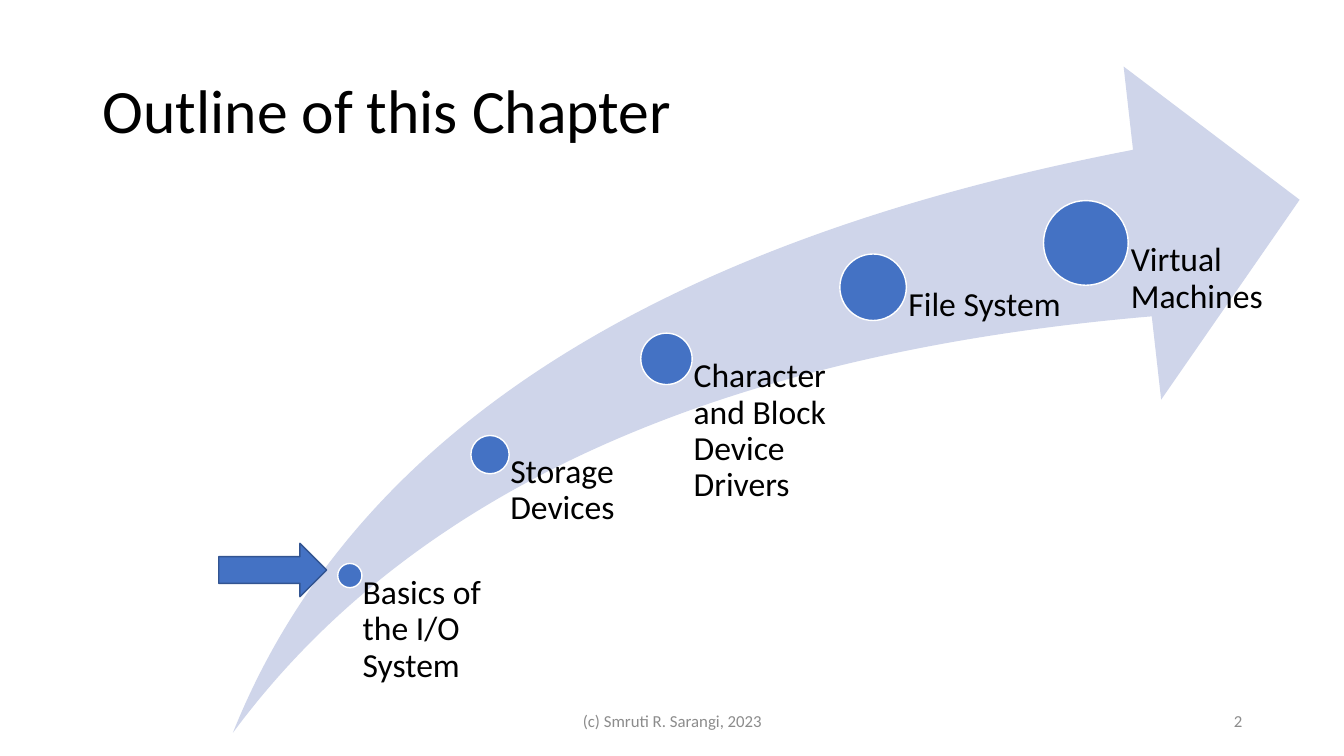
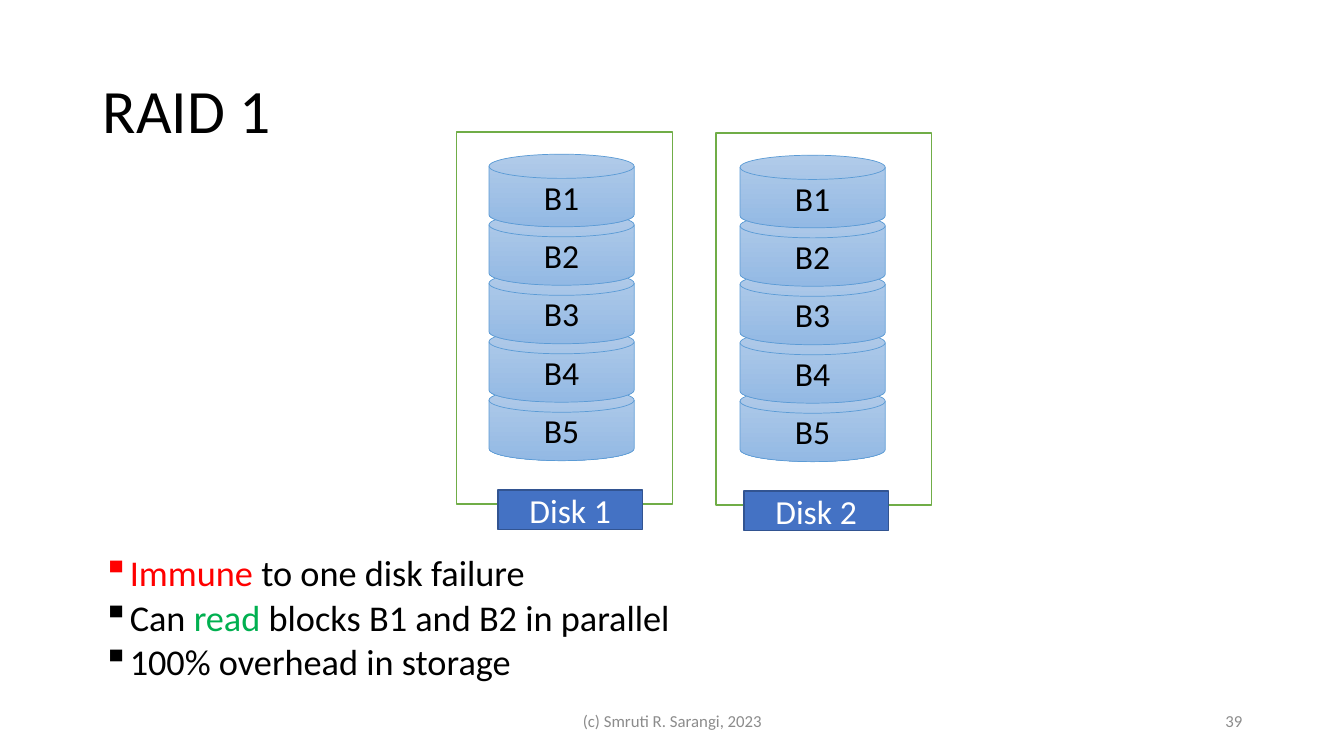
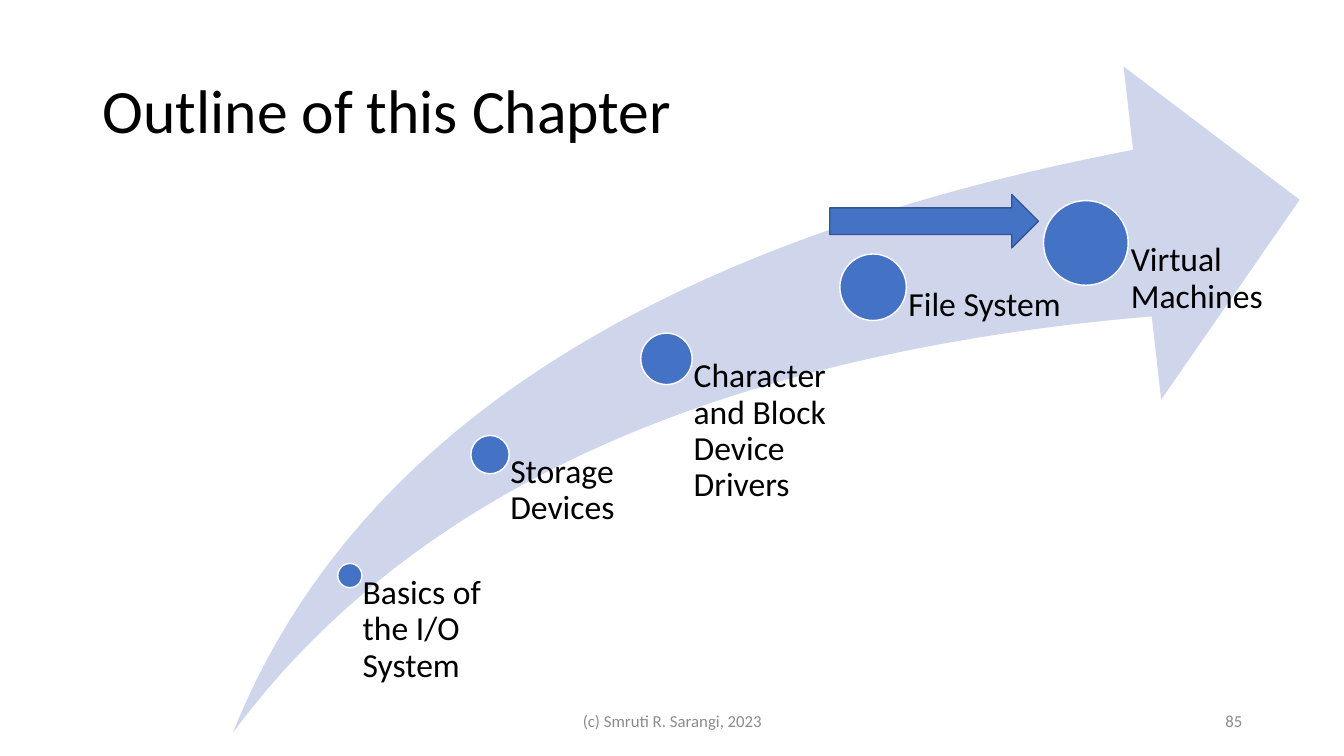
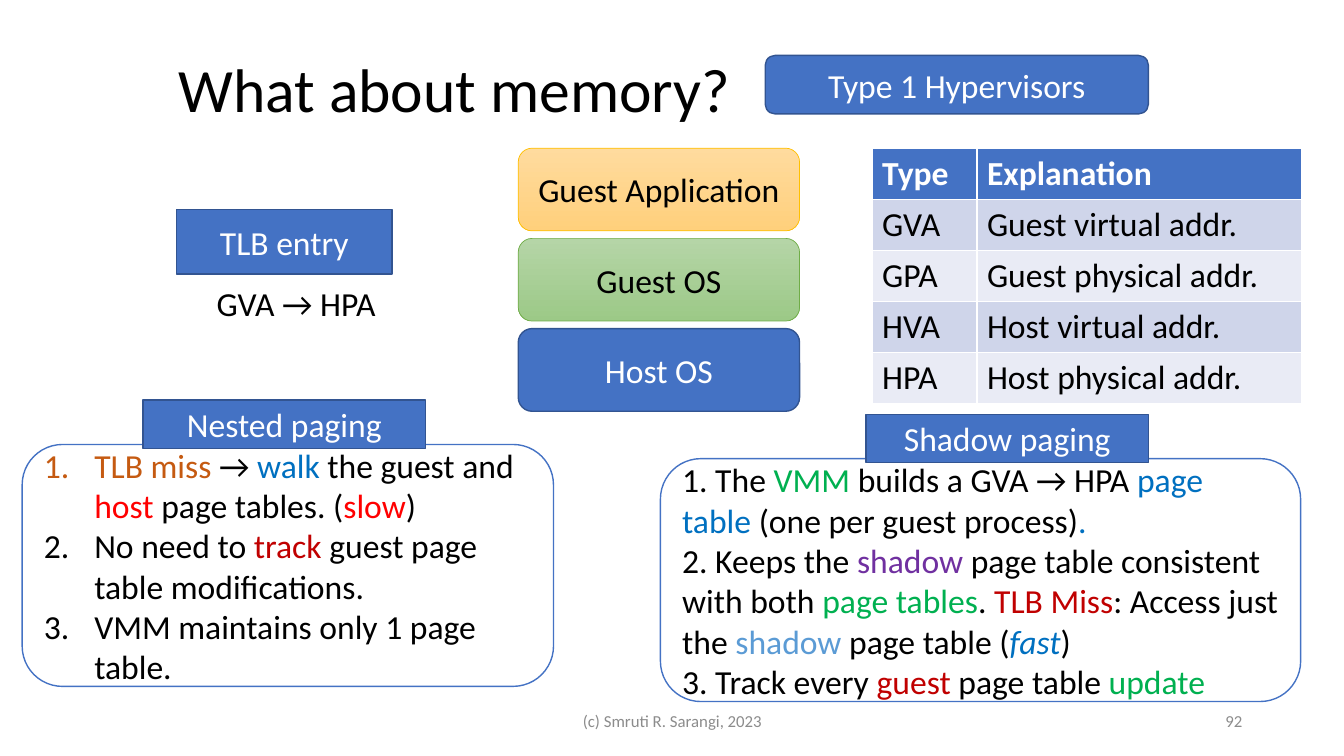
from pptx import Presentation
from pptx.dml.color import RGBColor
from pptx.enum.shapes import MSO_SHAPE
from pptx.enum.text import MSO_ANCHOR, PP_ALIGN
from pptx.oxml.ns import qn
from pptx.util import Inches, Pt
from lxml import etree

LEFT, MID, RIGHT = PP_ALIGN.LEFT, PP_ALIGN.CENTER, PP_ALIGN.RIGHT
TOP, CENTER = MSO_ANCHOR.TOP, MSO_ANCHOR.MIDDLE
OVAL, SWOOSH = MSO_SHAPE.OVAL, MSO_SHAPE.SWOOSH_ARROW
ARROW, RECT = MSO_SHAPE.RIGHT_ARROW, MSO_SHAPE.RECTANGLE
ROUND, DISK = MSO_SHAPE.ROUNDED_RECTANGLE, MSO_SHAPE.FLOWCHART_MAGNETIC_DISK
PROCESS = MSO_SHAPE.FLOWCHART_PROCESS

FONT = "Calibri"
BLACK, WHITE, GRAY = "000000", "FFFFFF", "8C8C8C"
BLUE, NAVY, PALE, MIST = "4472C4", "325491", "CFD5EA", "E9EBF5"
RED, CRIMSON, GREEN = "FF0000", "C00000", "00B050"
AZURE, SKY, PURPLE, RUST = "0070C0", "5B9BD5", "7030A0", "C55A11"
LEAF, GOLD = "70AD47", "FFC000"
SKY_FADE = ("B1CBE9", "93B9E4")
LEAF_FADE = ("B5D5A7", "9CC987")
GOLD_FADE = ("FFDB9E", "FFD07C")

STEPS = [  # centre x, centre y, diameter, label width, label
    (1.16, 5.05, 0.24, 1.39, "Basics of the I/O System"),
    (2.55, 3.85, 0.38, 1.76, "Storage Devices"),
    (4.30, 2.90, 0.51, 2.04, "Character and Block Device Drivers"),
    (6.35, 2.19, 0.66, 2.12, "File System"),
    (8.46, 1.75, 0.84, 2.12, "Virtual Machines"),
]
PERKS = [
    [("Immune ", RED), "to one disk failure"],
    ["Can ", ("read", GREEN), " blocks B1 and B2 in parallel"],
    ["100% overhead in storage"],
]
TERMS = [
    ("Type", "Explanation"),
    ("GVA", "Guest virtual addr."),
    ("GPA", "Guest physical addr."),
    ("HVA", "Host virtual addr."),
    ("HPA", "Host physical addr."),
]
NESTED = [
    [("TLB miss ", RUST), "→ ", ("walk", AZURE), " the guest and ",
     ("host", RED), " page tables. (", ("slow", RED), ")"],
    ["No need to ", ("track", CRIMSON), " guest page table modifications."],
    ["VMM maintains only 1 page table."],
]
SHADOW = [
    ["1. The ", ("VMM", GREEN), " builds a GVA → HPA ", ("page table ", AZURE),
     "(one per guest process)", (".", AZURE)],
    ["2. Keeps the ", ("shadow", PURPLE), " page table consistent with both ",
     ("page tables", GREEN), ". ", ("TLB Miss", CRIMSON), ": Access just the ",
     ("shadow", SKY), " page table (", ("fast", AZURE, True), ")"],
    ["3. Track every ", ("guest", CRIMSON), " page table ", ("update", GREEN)],
]


def rgb(code):
    return RGBColor.from_string(code)


def apply(item, **vals):
    for key, val in vals.items():
        setattr(item, key, val)


def area(box):
    return [Inches(v) for v in box]


def bullet(para, mark, indent):
    """Give a paragraph a hanging mark; "1." means automatic numbers."""
    props = para._p.get_or_add_pPr()
    props.set("marL", str(Inches(indent)))
    props.set("indent", str(-Inches(indent)))
    if mark == "1.":
        etree.SubElement(props, qn("a:buAutoNum"), type="arabicPeriod")
    else:
        etree.SubElement(props, qn("a:buChar"), char=mark)


def write(frame, paras, size=24, color=BLACK, align=LEFT, bold=False,
          space=None, gap=0, mark=None, indent=0):
    """Fill a text frame; a run is a string or (text, colour, italic)."""
    if isinstance(paras, str):
        paras = [[paras]]
    for i, runs in enumerate(paras):
        para = frame.add_paragraph() if i else frame.paragraphs[0]
        if mark:
            bullet(para, mark, indent)
        apply(para, alignment=align, space_before=Pt(gap if i else 0))
        if space:
            para.line_spacing = space
        for part in runs:
            text, tint, slant = part, color, False
            if not isinstance(part, str):
                text, tint, slant = (*part, False)[:3]
            run = para.add_run()
            run.text = text
            apply(run.font, name=FONT, size=Pt(size), bold=bold, italic=slant)
            run.font.color.rgb = rgb(tint)


def note(slide, box, paras, anchor=TOP, pads=None, **style):
    frame = slide.shapes.add_textbox(*area(box)).text_frame
    apply(frame, word_wrap=True, vertical_anchor=anchor)
    if pads:
        sides = ("margin_left", "margin_top", "margin_right", "margin_bottom")
        apply(frame, **dict(zip(sides, area(pads))))
    write(frame, paras, **style)


def block(slide, kind, box, fill=BLUE, line=NAVY, width=1, text=None, **style):
    """Add a preset shape; a pair of colours fills it from top to bottom."""
    shape = slide.shapes.add_shape(kind, *area(box))
    shape.shadow.inherit = False
    if isinstance(fill, tuple):
        shape.fill.gradient()
        shape.fill.gradient_angle = 270
        for stop, tint in zip(shape.fill.gradient_stops, fill):
            stop.color.rgb = rgb(tint)
    else:
        shape.fill.solid()
        shape.fill.fore_color.rgb = rgb(fill)
    if line:
        shape.line.color.rgb = rgb(line)
        shape.line.width = Pt(width)
    else:
        shape.line.fill.background()
    if text:
        apply(shape.text_frame, word_wrap=True, vertical_anchor=CENTER)
        write(shape.text_frame, text, **{"align": MID, **style})
    return shape


def page(deck, title, number, box=(0.92, 0.4, 11.5, 1.45)):
    """Start a slide with its title and footer."""
    slide = deck.slides.add_slide(deck.slide_layouts[5])
    head = slide.shapes.title
    apply(head, **dict(zip(("left", "top", "width", "height"), area(box))))
    head.text_frame.vertical_anchor = CENTER
    write(head.text_frame, title, size=44, space=0.9)
    foot = {"anchor": CENTER, "size": 12, "color": GRAY}
    note(slide, (4.42, 6.95, 4.5, 0.4), "(c) Smruti R. Sarangi, 2023",
         align=MID, **foot)
    note(slide, (9.42, 6.95, 3, 0.4), str(number), align=RIGHT, **foot)
    return slide


def roadmap(slide, box):
    """Draw the rising arrow with the chapter's steps along it."""
    left, top, _, high = box
    swoosh = block(slide, SWOOSH, box, PALE, None)
    for i in range(2):
        swoosh.adjustments[i] = 0.25
    for x, y, size, wide, label in STEPS:
        half = size / 2
        block(slide, OVAL, (left + x - half, top + y - half, size, size),
              line=WHITE)
        note(slide, (left + x, top + y, wide, high - y), label,
             pads=(0.53 * size, 0, 0, 0), space=0.9)


def outline(deck, number, pointer):
    slide = page(deck, "Outline of this Chapter", number)
    roadmap(slide, (2.31, 0.66, 10.58, 6.61))
    block(slide, ARROW, pointer)


def drive(slide, box, name, inset, shift):
    """Draw a framed stack of five blocks with a name tag."""
    left, top, _, high = box
    block(slide, PROCESS, box, WHITE, LEAF)
    for i in reversed(range(5)):
        block(slide, DISK, (left + inset, top + 0.22 + 0.58 * i, 1.44, 0.72),
              SKY_FADE, SKY, 0.5, f"B{i + 1}")
    block(slide, PROCESS, (left + shift, top + high - 0.14, 1.43, 0.39),
          text=name, color=WHITE)


def raid(deck):
    slide = page(deck, "RAID 1", 39)
    drive(slide, (4.53, 1.31, 2.14, 3.69), "Disk 1", 0.32, 0.41)
    drive(slide, (7.1, 1.32, 2.14, 3.69), "Disk 2", 0.24, 0.28)
    note(slide, (0.92, 5.53, 11.5, 1.41), PERKS, size=25.9, space=0.7,
         gap=10, mark="▪", indent=0.25)


def glossary(slide, box):
    grid = slide.shapes.add_table(len(TERMS), 2, *area(box)).table
    for col, wide in zip(grid.columns, (1.04, box[2] - 1.04)):
        col.width = Inches(wide)
    for r, row in enumerate(TERMS):
        fill = BLUE if r == 0 else PALE if r % 2 else MIST
        for c, text in enumerate(row):
            cell = grid.cell(r, c)
            cell.fill.solid()
            cell.fill.fore_color.rgb = rgb(fill)
            write(cell.text_frame, text, bold=r == 0,
                  color=BLACK if r else WHITE)


def layers(slide, box):
    """Stack the software layers in equal boxes."""
    left, top, wide, high = box
    tall = 0.82
    step = (high - tall) / 2
    looks = [
        ("Guest Application", GOLD_FADE, GOLD, 0.5, BLACK),
        ("Guest OS", LEAF_FADE, LEAF, 0.5, BLACK),
        ("Host OS", BLUE, NAVY, 1, WHITE),
    ]
    for i, (text, fill, line, width, color) in enumerate(looks):
        block(slide, ROUND, (left, top + i * step, wide, tall), fill, line,
              width, text, color=color)


def panel(slide, box, name, shift, paras, **style):
    """Draw a rounded text box with a name tag on its top edge."""
    left, top = box[:2]
    block(slide, ROUND, box, WHITE, BLUE, text=paras, align=LEFT, **style)
    block(slide, RECT, (left + shift, top - 0.44, 2.8, 0.48), text=name,
          color=WHITE)


def memory(deck):
    slide = page(deck, "What about memory?", 92, (1.67, 0.19, 10.66, 1.45))
    block(slide, ROUND, (7.59, 0.55, 3.8, 0.58), text="Type 1 Hypervisors",
          color=WHITE)
    glossary(slide, (8.65, 1.47, 4.26, 2.53))
    layers(slide, (5.14, 1.47, 2.79, 2.61))
    block(slide, RECT, (1.75, 2.08, 2.14, 0.64), text="TLB entry", color=WHITE)
    note(slide, (2.05, 2.76, 1.85, 0.5), "GVA → HPA")
    panel(slide, (0.22, 4.41, 5.27, 2.4), "Nested paging", 1.2, NESTED,
          mark="1.", indent=0.5)
    panel(slide, (6.55, 4.55, 6.35, 2.41), "Shadow paging", 2.04, SHADOW)


def main():
    deck = Presentation()
    apply(deck, slide_width=Inches(13.33), slide_height=Inches(7.5))
    outline(deck, 2, (2.17, 5.39, 1.07, 0.53))
    raid(deck)
    outline(deck, 85, (8.23, 1.93, 2.07, 0.53))
    memory(deck)
    deck.save("out.pptx")


if __name__ == "__main__":
    main()
